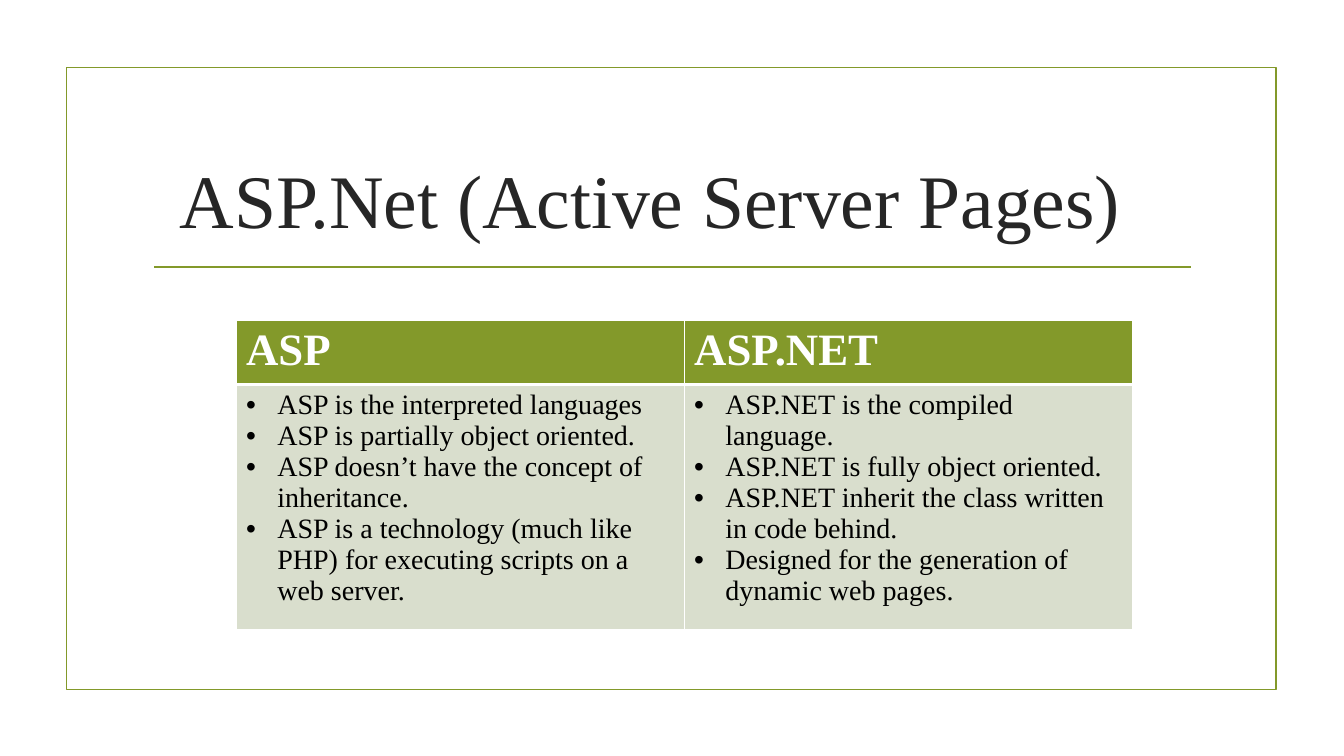
from lxml.etree import SubElement
from pptx import Presentation
from pptx.dml.color import RGBColor
from pptx.enum.shapes import MSO_CONNECTOR, MSO_SHAPE
from pptx.enum.text import MSO_ANCHOR, PP_ALIGN
from pptx.oxml.ns import qn
from pptx.util import Inches, Pt

COLOURS = {
    "accent": "83992A",
    "title": "262626",
    "body": "000000",
    "body_fill": "D9DECD",
    "white": "FFFFFF",
}
FORMATS = {
    "title": {"size": Pt(54), "bold": False},
    "white": {"size": Pt(32), "bold": True},
    "body": {"size": Pt(20), "bold": False},
}
COMPARISON = {
    "ASP": [
        "ASP is the interpreted languages",
        "ASP is partially object oriented.",
        "ASP doesn’t have the concept of inheritance.",
        "ASP is a technology (much like PHP) for executing scripts on a web server.",
    ],
    "ASP.NET": [
        "ASP.NET is the compiled language.",
        "ASP.NET is fully object oriented.",
        "ASP.NET inherit the class written in code behind.",
        "Designed for the generation of dynamic web pages.",
    ],
}


def colour(name):
    """Return the named palette colour."""
    return RGBColor.from_string(COLOURS[name])


def write(paragraph, text, style):
    """Add one run in the named text style."""
    run = paragraph.add_run()
    run.text = text
    run.font.name = "Times New Roman"
    run.font.color.rgb = colour(style)
    for attribute, value in FORMATS[style].items():
        setattr(run.font, attribute, value)


def style_line(line):
    """Give a line the accent colour and width."""
    line.color.rgb = colour("accent")
    line.width = Pt(1.25)


def add_frame(slide):
    """Draw the border rectangle and the rule below the title."""
    border = slide.shapes.add_shape(
        MSO_SHAPE.RECTANGLE, Inches(0.66), Inches(0.67), Inches(12), Inches(6.17))
    border.shadow.inherit = False
    border.fill.background()
    style_line(border.line)
    rule = slide.shapes.add_connector(
        MSO_CONNECTOR.STRAIGHT, Inches(1.53), Inches(2.65), Inches(11.81), Inches(2.65))
    style_line(rule.line)
    SubElement(rule._element.spPr, qn("a:effectLst"))


def add_title(slide, text):
    """Add the centred slide title."""
    title = slide.shapes.add_textbox(
        Inches(1.2), Inches(1.25), Inches(10.5), Inches(1.43)).text_frame
    title.word_wrap = True
    title.vertical_anchor = MSO_ANCHOR.MIDDLE
    title.paragraphs[0].alignment = PP_ALIGN.CENTER
    write(title.paragraphs[0], text, "title")


def style_cell(cell, fill, top, bottom):
    """Set white cell borders and the cell fill."""
    properties = cell._tc.get_or_add_tcPr()
    for side, width in {"L": 1, "R": 1, "T": top, "B": bottom}.items():
        edge = SubElement(properties, qn(f"a:ln{side}"), w=str(Pt(width)))
        solid = SubElement(edge, qn("a:solidFill"))
        SubElement(solid, qn("a:srgbClr"), val=COLOURS["white"])
    cell.fill.solid()
    cell.fill.fore_color.rgb = colour(fill)


def write_bullets(cell, points):
    """Fill a cell with one bulleted paragraph per point."""
    frame = cell.text_frame
    for index, point in enumerate(points):
        paragraph = frame.add_paragraph() if index else frame.paragraphs[0]
        properties = paragraph._p.get_or_add_pPr()
        properties.set("marL", str(Inches(0.31)))
        properties.set("indent", str(-Inches(0.31)))
        SubElement(properties, qn("a:buFont"), typeface="Arial")
        SubElement(properties, qn("a:buChar"), char="•")
        write(paragraph, point, "body")


def add_comparison(slide, comparison):
    """Add the table with one column per technology."""
    table = slide.shapes.add_table(
        2, len(comparison), Inches(2.34), Inches(3.18), Inches(8.89), Inches(2.84)).table
    for row, height in zip(table.rows, (0.58, 2.26)):
        row.height = Inches(height)
    for column, (heading, points) in enumerate(comparison.items()):
        header, body = table.cell(0, column), table.cell(1, column)
        style_cell(header, "accent", top=1, bottom=3)
        write(header.text_frame.paragraphs[0], heading, "white")
        style_cell(body, "body_fill", top=3, bottom=1)
        write_bullets(body, points)


def main():
    """Build and save the slide."""
    presentation = Presentation()
    presentation.slide_width = Inches(13.33)
    presentation.slide_height = Inches(7.5)
    slide = presentation.slides.add_slide(presentation.slide_layouts[6])
    add_frame(slide)
    add_title(slide, "ASP.Net (Active Server Pages)")
    add_comparison(slide, COMPARISON)
    presentation.save("out.pptx")


if __name__ == "__main__":
    main()
